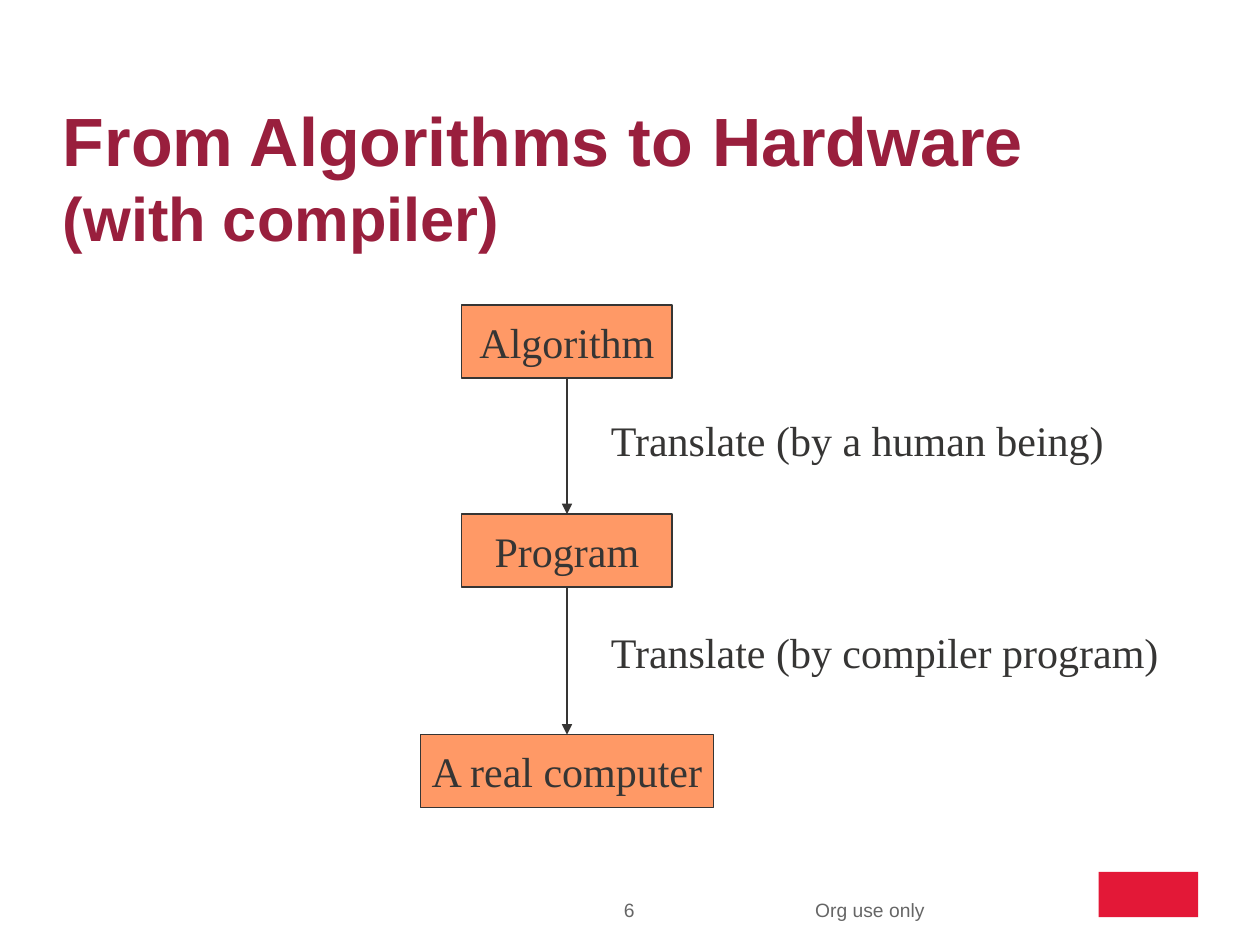
from dataclasses import dataclass

from lxml import etree
from pptx import Presentation
from pptx import util as u
from pptx.dml.color import RGBColor
from pptx.enum import shapes, text
from pptx.oxml import ns


@dataclass(frozen=True)
class Theme:
    """Colours, fonts and type sizes of the slide."""
    title_color: RGBColor = RGBColor(0x99, 0x1F, 0x3D)
    ink: RGBColor = RGBColor(0x36, 0x35, 0x34)
    footer_color: RGBColor = RGBColor(0x66, 0x66, 0x66)
    box_fill: RGBColor = RGBColor(0xFF, 0x99, 0x66)
    mark_fill: RGBColor = RGBColor(0xE3, 0x18, 0x37)
    sans: str = "Arial"
    serif: str = "Times New Roman"
    title_size: float = 39
    subtitle_size: float = 35.1
    body_size: float = 24
    footer_size: float = 11
    line_width: float = 0.75


THEME = Theme()
FLOW_CENTER = 4.5
BOX_HEIGHT = 0.58
# Each step: name, top, width
STEPS = [
    ("Algorithm", 2.42, 1.67),
    ("Program", 4.08, 1.67),
    ("A real computer", 5.83, 2.33),
]
# Each label: wording, top, width, wrap
LABELS = [
    ("Translate (by a human being)", 3.24, 4.42, True),
    ("Translate (by compiler program)", 4.92, 4.56, False),
]


def add_run(paragraph, wording, font_name, size, color, bold=False):
    """Append one formatted run to a paragraph."""
    run = paragraph.add_run()
    run.text = wording
    run.font.name = font_name
    run.font.size = u.Pt(size)
    run.font.color.rgb = color
    run.font.bold = bold


def add_text_box(slide, left, top, width, height, wrap=True, inset=True):
    """Add an empty text box and return its text frame."""
    box = slide.shapes.add_textbox(
        u.Inches(left), u.Inches(top), u.Inches(width), u.Inches(height))
    frame = box.text_frame
    frame.word_wrap = wrap
    if not inset:
        frame.margin_left = frame.margin_right = 0
        frame.margin_top = frame.margin_bottom = 0
    return frame


def add_rectangle(slide, left, top, width, height, fill):
    """Add a plain filled rectangle without outline."""
    shape = slide.shapes.add_shape(
        shapes.MSO_SHAPE.RECTANGLE,
        u.Inches(left), u.Inches(top), u.Inches(width), u.Inches(height))
    shape.shadow.inherit = False
    shape.fill.solid()
    shape.fill.fore_color.rgb = fill
    shape.line.fill.background()
    return shape


def add_step(slide, name, top, width):
    """Add an outlined step box centred on the flow axis."""
    shape = add_rectangle(slide, FLOW_CENTER - width / 2, top,
                          width, BOX_HEIGHT, THEME.box_fill)
    shape.line.color.rgb = THEME.ink
    shape.line.width = u.Pt(THEME.line_width)
    frame = shape.text_frame
    frame.word_wrap = False
    frame.vertical_anchor = text.MSO_ANCHOR.MIDDLE
    paragraph = frame.paragraphs[0]
    paragraph.alignment = text.PP_ALIGN.CENTER
    add_run(paragraph, name, THEME.serif, THEME.body_size, THEME.ink)
    return shape


def add_arrow(slide, upper, lower):
    """Connect the bottom of one step to the top of the next."""
    connector = slide.shapes.add_connector(
        shapes.MSO_CONNECTOR.STRAIGHT, 0, 0, 0, 0)
    connector.begin_connect(upper, 2)
    connector.end_connect(lower, 0)
    connector.line.color.rgb = THEME.ink
    connector.line.width = u.Pt(THEME.line_width)
    line = connector.line._get_or_add_ln()
    etree.SubElement(line, ns.qn("a:tailEnd"), type="triangle")
    etree.SubElement(connector._element.spPr, ns.qn("a:effectLst"))


def add_label(slide, wording, top, width, wrap):
    """Add the description beside an arrow."""
    frame = add_text_box(slide, 4.75, top, width, 0.5, wrap)
    add_run(frame.paragraphs[0], wording,
            THEME.serif, THEME.body_size, THEME.ink)


def add_title(slide):
    """Add the two-line title."""
    frame = add_text_box(slide, 0.5, 0.77, 9, 1.25, inset=False)
    frame.vertical_anchor = text.MSO_ANCHOR.MIDDLE
    paragraph = frame.paragraphs[0]
    add_run(paragraph, "From Algorithms to Hardware", THEME.sans,
            THEME.title_size, THEME.title_color, bold=True)
    paragraph.add_line_break()
    add_run(paragraph, "(with compiler)", THEME.sans,
            THEME.subtitle_size, THEME.title_color, bold=True)


def add_footer(slide, wording, left, width, alignment):
    """Add one small footer text."""
    frame = add_text_box(slide, left, 7.13, width, 0.19, inset=False)
    paragraph = frame.paragraphs[0]
    paragraph.alignment = alignment
    add_run(paragraph, wording, THEME.sans,
            THEME.footer_size, THEME.footer_color)


def main():
    """Build and save the slide."""
    presentation = Presentation()
    presentation.slide_width = u.Inches(10)
    presentation.slide_height = u.Inches(7.5)
    slide = presentation.slides.add_slide(presentation.slide_layouts[6])

    add_rectangle(slide, 8.72, 6.92, 0.79, 0.36, THEME.mark_fill)
    add_footer(slide, "Org use only", 6.47, 1.84, text.PP_ALIGN.LEFT)
    add_footer(slide, "6", 4.57, 0.85, text.PP_ALIGN.CENTER)
    add_title(slide)

    steps = [add_step(slide, *step) for step in STEPS]
    for upper, lower, label in zip(steps, steps[1:], LABELS):
        add_arrow(slide, upper, lower)
        add_label(slide, *label)

    presentation.save("out.pptx")


main()
